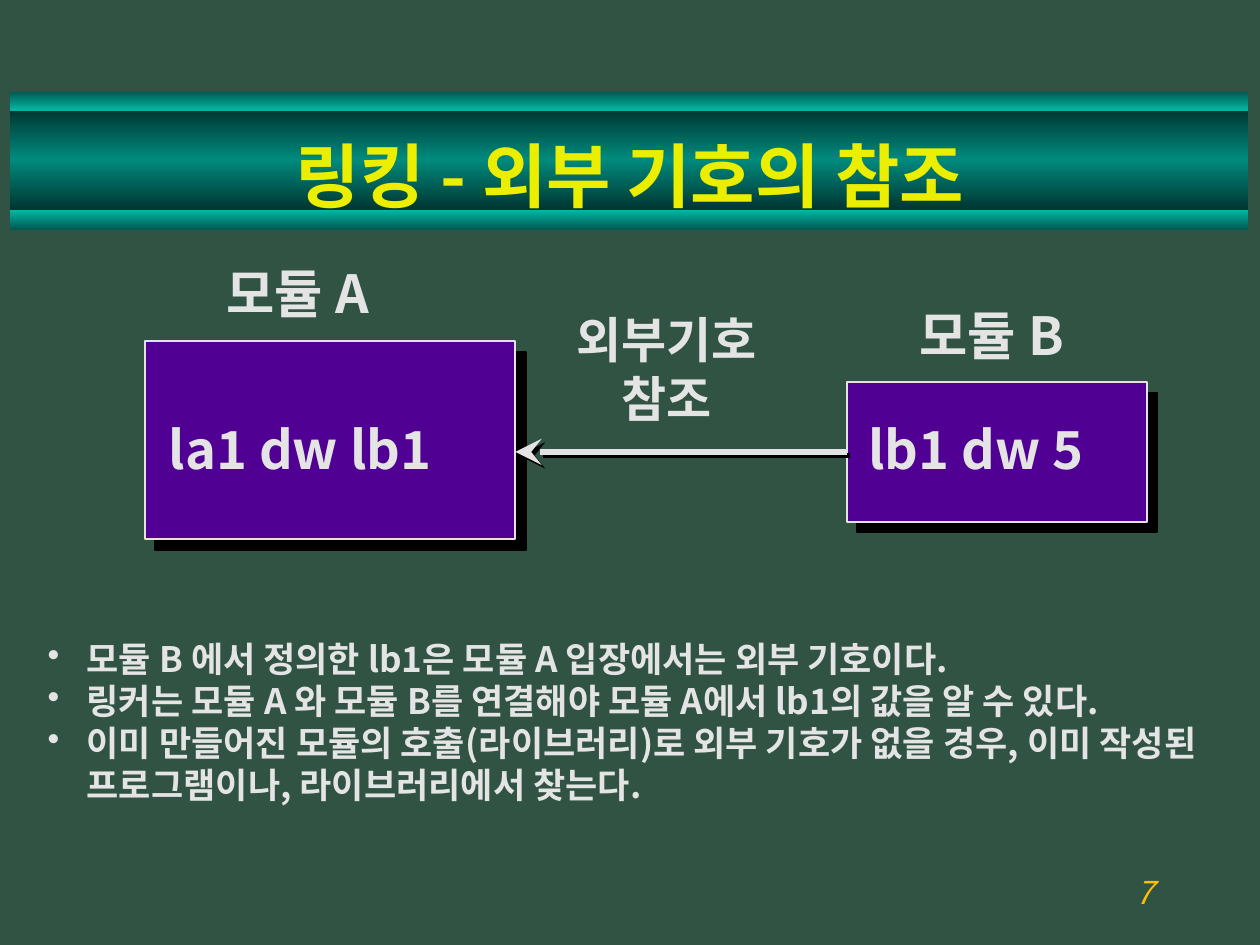
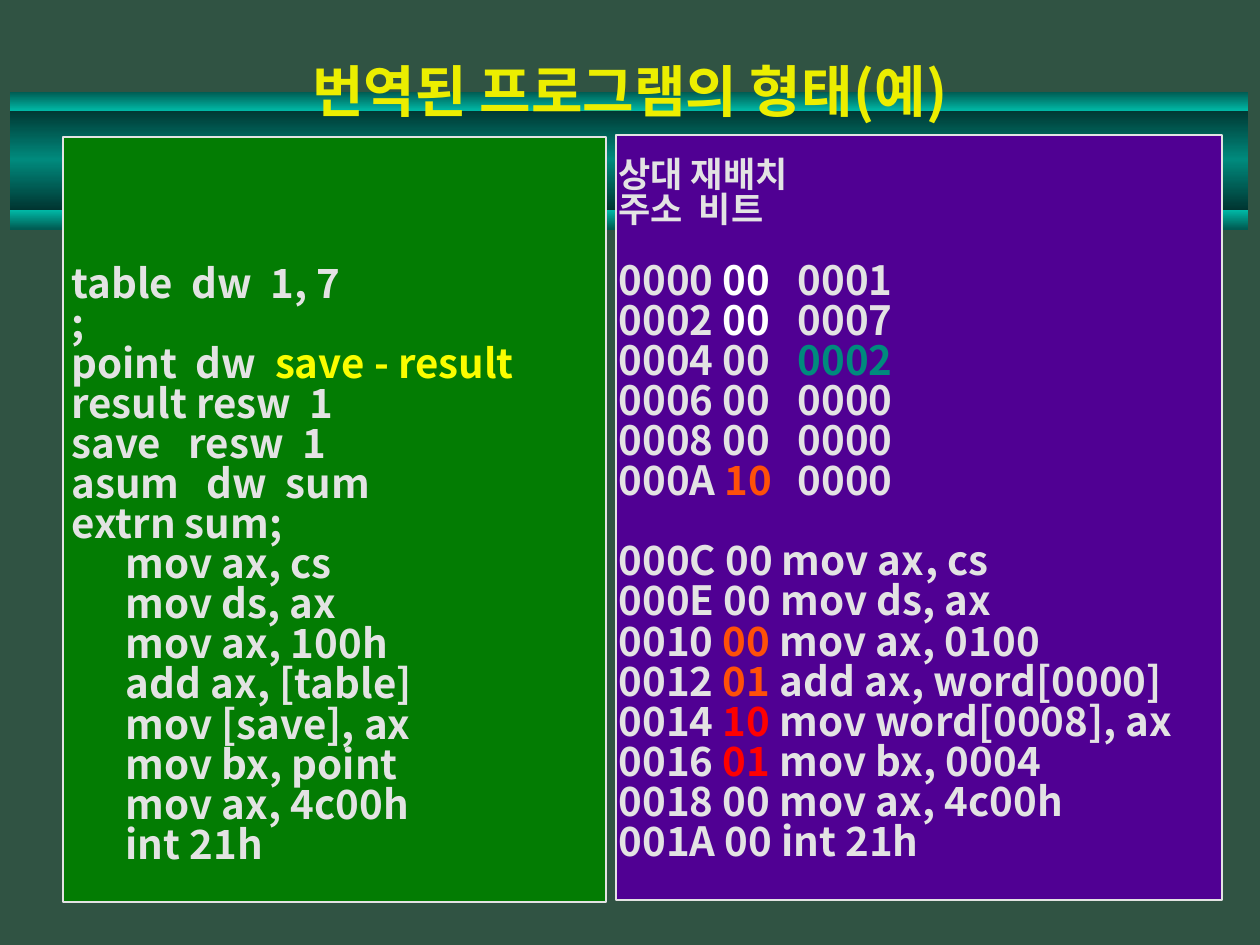
import copy

import pptx
import pptx.dml.color
import pptx.enum.shapes
import pptx.enum.text
import pptx.oxml
import pptx.oxml.ns
import pptx.util
from lxml import etree

Cm = pptx.util.Cm
Pt = pptx.util.Pt
RGBColor = pptx.dml.color.RGBColor
qn = pptx.oxml.ns.qn
ALIGN = pptx.enum.text.PP_ALIGN
ANCHOR = pptx.enum.text.MSO_ANCHOR
RECTANGLE = pptx.enum.shapes.MSO_SHAPE.RECTANGLE

# Shared look
FONT = "Noto Sans CJK KR"
BACKGROUND = RGBColor(0x30, 0x53, 0x43)
TITLE_YELLOW = RGBColor(0xEC, 0xEE, 0x00)
BRIGHT_YELLOW = RGBColor(0xFA, 0xFD, 0x00)
LIGHT = RGBColor(0xE4, 0xE4, 0xE4)
OUTLINE = RGBColor(0xE3, 0xE3, 0xE3)
WHITE = RGBColor(0xFF, 0xFF, 0xFF)
AMBER = RGBColor(0xFF, 0xC0, 0x00)
ORANGE = RGBColor(0xFF, 0x50, 0x08)
RED = RGBColor(0xFF, 0x00, 0x00)
PURPLE = RGBColor(0x50, 0x00, 0x93)
GREEN = RGBColor(0x03, 0x7C, 0x03)
TEAL = RGBColor(0x00, 0x8A, 0x7D)
TEAL_DARK = RGBColor(0x00, 0x32, 0x2E)
TEAL_EDGE = RGBColor(0x00, 0x5B, 0x52)
TEAL_LIGHT = RGBColor(0x00, 0xB7, 0xA5)

# Bands: top, height, colours from top to bottom
BANDS = [
    (2.16, 2.11, (TEAL_DARK, TEAL, TEAL_DARK)),
    (4.24, 0.38, (TEAL_LIGHT, TEAL_EDGE)),
    (1.85, 0.38, (TEAL_EDGE, TEAL_LIGHT)),
]

# Linking slide
MODULES = [  # box, label and code places in centimetres
    {"label": "모듈 A", "code": "la1 dw lb1", "box": (2.92, 6.88, 7.47, 3.99),
     "label_at": (4.32, 5.13), "code_at": (3.15, 8.28)},
    {"label": "모듈 B", "code": "lb1 dw 5", "box": (17.07, 7.7, 6.05, 2.82),
     "label_at": (18.29, 5.99), "code_at": (17.25, 8.28)},
]
REFERENCE = ["외부기호", "참조"]
NOTES = [
    "모듈 B 에서 정의한 lb1은 모듈 A 입장에서는 외부 기호이다.",
    "링커는 모듈 A 와 모듈 B를 연결해야 모듈 A에서 lb1의 값을 알 수 있다.",
    "이미 만들어진 모듈의 호출(라이브러리)로 외부 기호가 없을 경우, "
    "이미 작성된 프로그램이나, 라이브러리에서 찾는다.",
]

# Translated program slide: a line is a string or a list of (text, colour)
DECLARATIONS = [
    "table  dw  1, 7",
    ";",
    [("point  dw  ", OUTLINE), ("save - result", BRIGHT_YELLOW)],
    "result resw  1",
    "save   resw  1",
    "asum   dw  sum",
    "extrn sum;",
]
INSTRUCTIONS = [
    "mov ax, cs", "mov ds, ax", "mov ax, 100h", "add ax, [table]",
    "mov [save], ax", "mov bx, point", "mov ax, 4c00h", "int 21h",
]
HEADINGS = ["상대 재배치", "주소  비트"]
DATA_WORDS = [  # address, bits, colour of bits, value, colour of value
    ("0000", "00", WHITE, "0001", OUTLINE),
    ("0002", "00", WHITE, "0007", OUTLINE),
    ("0004", "00", OUTLINE, "0002", TEAL),
    ("0006", "00", OUTLINE, "0000", OUTLINE),
    ("0008", "00", OUTLINE, "0000", OUTLINE),
    ("000A", "10", ORANGE, "0000", OUTLINE),
]
CODE_WORDS = [
    ("000C", "00", OUTLINE, "mov ax, cs", OUTLINE),
    ("000E", "00", OUTLINE, "mov ds, ax", OUTLINE),
    ("0010", "00", ORANGE, "mov ax, 0100", OUTLINE),
    ("0012", "01", ORANGE, "add ax, word[0000]", OUTLINE),
    ("0014", "10", RED, "mov word[0008], ax", OUTLINE),
    ("0016", "01", RED, "mov bx, 0004", OUTLINE),
    ("0018", "00", OUTLINE, "mov ax, 4c00h", OUTLINE),
    ("001A", "00", OUTLINE, "int 21h", OUTLINE),
]


def add_child(parent, tag, **attributes):
    child = etree.SubElement(parent, qn(tag))
    for name, value in attributes.items():
        child.set(name, str(value))
    return child


def cast_shadow(sibling, distance):
    """Put a black shadow to the lower right, right after a sibling element."""
    effects = pptx.oxml.parse_xml(
        '<a:effectLst xmlns:a="http://schemas.openxmlformats.org/drawingml/2006/main"/>')
    shadow = add_child(effects, "a:outerShdw", blurRad=0, dist=Pt(distance),
                       dir=45 * 60000, algn="ctr", rotWithShape=0)
    add_child(shadow, "a:srgbClr", val="000000")
    sibling.addnext(effects)


def write(frame, lines, size=20, color=LIGHT, bold=True, italic=False,
          align=ALIGN.LEFT, anchor=ANCHOR.TOP, spacing=None, shadow=False, wrap=True):
    """Write lines of text into a frame and return the paragraphs."""
    frame.word_wrap = wrap
    frame.auto_size = pptx.enum.text.MSO_AUTO_SIZE.NONE
    frame.vertical_anchor = anchor
    for number, line in enumerate(lines):
        para = frame.add_paragraph() if number else frame.paragraphs[0]
        para.alignment = align
        if spacing:
            para.line_spacing = spacing
        for text, span_color in [(line, color)] if isinstance(line, str) else line:
            span = para.add_run()
            span.text = text
            font = span.font
            font.size, font.bold, font.italic = Pt(size), bold, italic
            font.color.rgb = span_color
            font.name = FONT
            properties = span.font.fill and para.runs[-1].font
            run_properties = span._r.get_or_add_rPr()
            east_asian = etree.Element(qn("a:ea"), typeface=FONT)
            run_properties.find(qn("a:latin")).addnext(east_asian)
            if shadow:
                cast_shadow(run_properties.find(qn("a:solidFill")), 2)
    return list(frame.paragraphs)


def add_text(slide, place, lines, **style):
    box = slide.shapes.add_textbox(*map(Cm, place))
    return write(box.text_frame, lines, **style)


def add_panel(slide, place, color, shadow=0):
    panel = slide.shapes.add_shape(RECTANGLE, *map(Cm, place))
    panel.fill.solid()
    panel.fill.fore_color.rgb = color
    panel.line.color.rgb = OUTLINE
    panel.line.width = Pt(1)
    if shadow:
        cast_shadow(panel.element.spPr.find(qn("a:ln")), shadow)
    else:
        panel.shadow.inherit = False
    return panel


def add_band(slide, top, height, colors):
    band = slide.shapes.add_shape(RECTANGLE, Cm(0.2), Cm(top), Cm(24.97), Cm(height))
    band.shadow.inherit = False
    band.line.fill.background()
    band.fill.gradient()
    band.fill.gradient_angle = 270
    stop_list = band.element.spPr.find(".//" + qn("a:gsLst"))
    for _ in colors[2:]:
        stop_list.append(copy.deepcopy(stop_list[0]))
    for number, (stop, color) in enumerate(zip(band.fill.gradient_stops, colors)):
        stop.position = number / (len(colors) - 1)
        stop.color.rgb = color


def add_slide(deck):
    slide = deck.slides.add_slide(deck.slide_layouts[5])
    for band in BANDS:
        add_band(slide, *band)
    return slide


def place_title(slide, text, top, size):
    """Format the title and bring it in front of what is already drawn."""
    title = slide.shapes.title
    title.left, title.top, title.width, title.height = map(Cm, (1.9, top, 21.6, 2.06))
    write(title.text_frame, [text], size=size, color=TITLE_YELLOW,
          align=ALIGN.CENTER, anchor=ANCHOR.MIDDLE, shadow=True)
    slide.shapes.element.append(title.element)


def build_linking(deck):
    slide = add_slide(deck)
    place_title(slide, "링킹 - 외부 기호의 참조", top=2.49, size=40)
    add_text(slide, (18.21, 17.35, 5.28, 1.27), ["7"], size=18, color=AMBER, bold=False,
             italic=True, align=ALIGN.RIGHT, anchor=ANCHOR.MIDDLE)

    # Modules
    boxes = []
    for module in MODULES:
        boxes.append(add_panel(slide, module["box"], PURPLE, shadow=8.5))
        for part in ("label", "code"):
            add_text(slide, (*module[part + "_at"], 6.88, 1.78), [module[part]],
                     size=30, wrap=False)

    # Reference arrow from module B to module A
    target, source = boxes
    middle = source.top + source.height // 2
    arrow = slide.shapes.add_connector(
        pptx.enum.shapes.MSO_CONNECTOR.STRAIGHT,
        target.left + target.width, middle, source.left, middle)
    arrow.end_connect(source, 1)
    arrow.line.color.rgb = OUTLINE
    arrow.line.width = Pt(3)
    outline = arrow.element.spPr.find(qn("a:ln"))
    add_child(outline, "a:headEnd", type="stealth", w="lg", len="lg")
    cast_shadow(outline, 2.8)
    add_text(slide, (11.38, 6.12, 4.1, 2.97), REFERENCE, size=28,
             align=ALIGN.CENTER, wrap=False)

    # Notes
    for para in add_text(slide, (0.71, 12.73, 24, 3.99), NOTES):
        properties = para._p.get_or_add_pPr()
        properties.set("marL", str(Cm(0.79)))
        properties.set("indent", str(Cm(-0.79)))
        add_child(properties, "a:buChar", char="•")


def build_program(deck):
    slide = add_slide(deck)
    add_panel(slide, (12.42, 2.72, 12.22, 15.42), PURPLE)
    add_panel(slide, (1.27, 2.77, 10.95, 15.42), GREEN)
    place_title(slide, "번역된 프로그램의 형태(예)", top=0.79, size=32)
    code_style = {"size": 23, "color": OUTLINE, "spacing": 0.83, "shadow": True}

    # Source program
    paras = add_text(slide, (1.19, 5.24, 12.57, 13), DECLARATIONS + INSTRUCTIONS, **code_style)
    for para in paras[len(DECLARATIONS):]:
        para._p.get_or_add_pPr().set("marL", str(Cm(1.09)))

    # Translated program
    headings = [[(text, OUTLINE)] for text in HEADINGS]
    rows = [
        [(address + " ", OUTLINE), (bits, bits_color), (gap + value, value_color)]
        for words, gap in ((DATA_WORDS, "\t"), (CODE_WORDS, " "))
        for address, bits, bits_color, value, value_color in words
    ]
    paras = add_text(slide, (12.22, 3.07, 12.67, 15.54), headings + rows, **code_style)
    data_start = len(HEADINGS)
    code_start = data_start + len(DATA_WORDS)
    for para in paras[:data_start]:
        para.line_spacing = 0.85
        for span in para.runs:
            span.font.size = Pt(20)
    paras[data_start].space_before = Pt(19)
    paras[code_start].space_before = Pt(23)
    for para in paras[data_start:code_start]:
        tabs = add_child(para._p.get_or_add_pPr(), "a:tabLst")
        add_child(tabs, "a:tab", pos=Cm(3.61), algn="l")


def main():
    deck = pptx.Presentation()
    deck.slide_width, deck.slide_height = Cm(25.4), Cm(19.05)
    background = deck.slide_master.background.fill
    background.solid()
    background.fore_color.rgb = BACKGROUND
    build_linking(deck)
    build_program(deck)
    deck.save("out.pptx")


if __name__ == "__main__":
    main()
